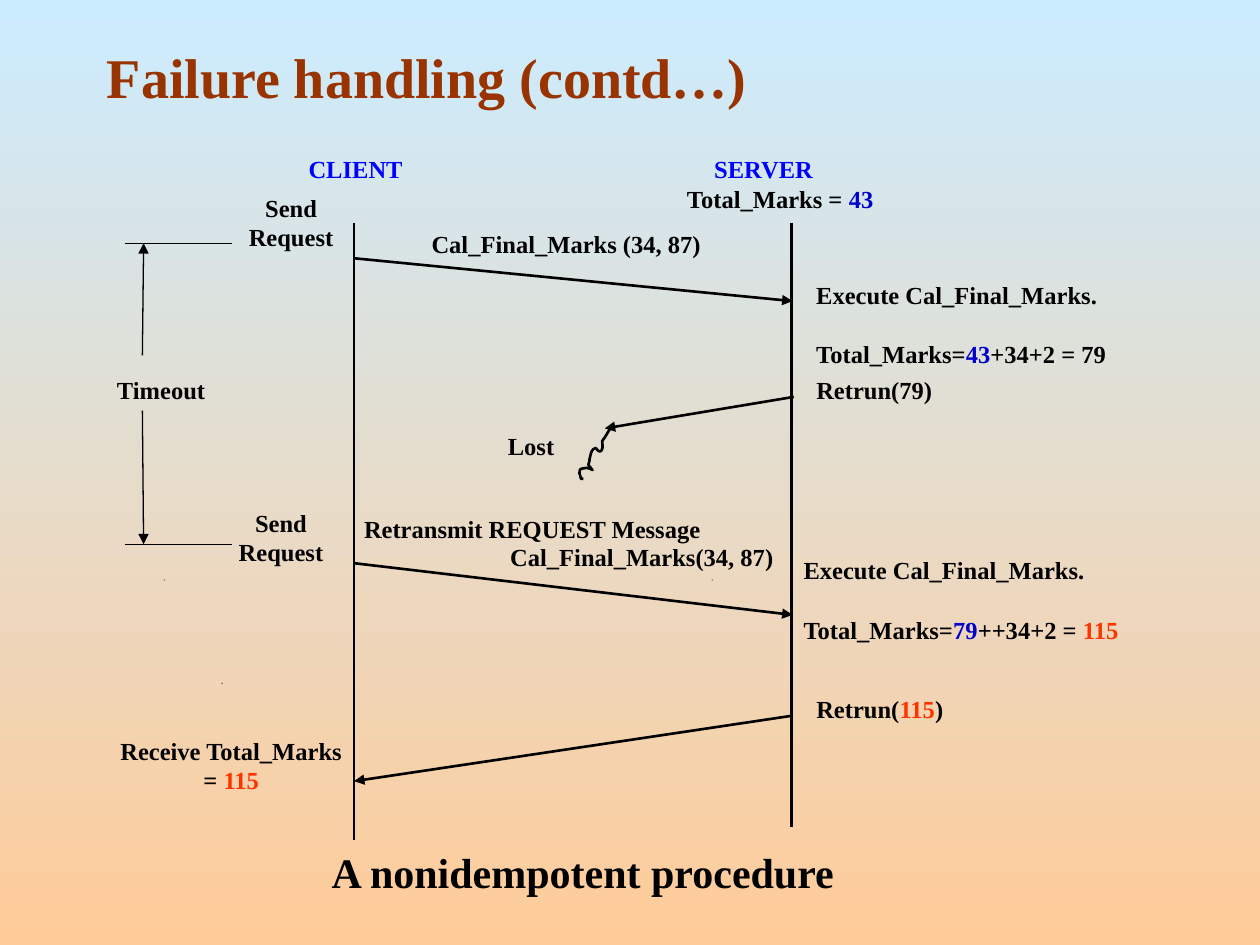
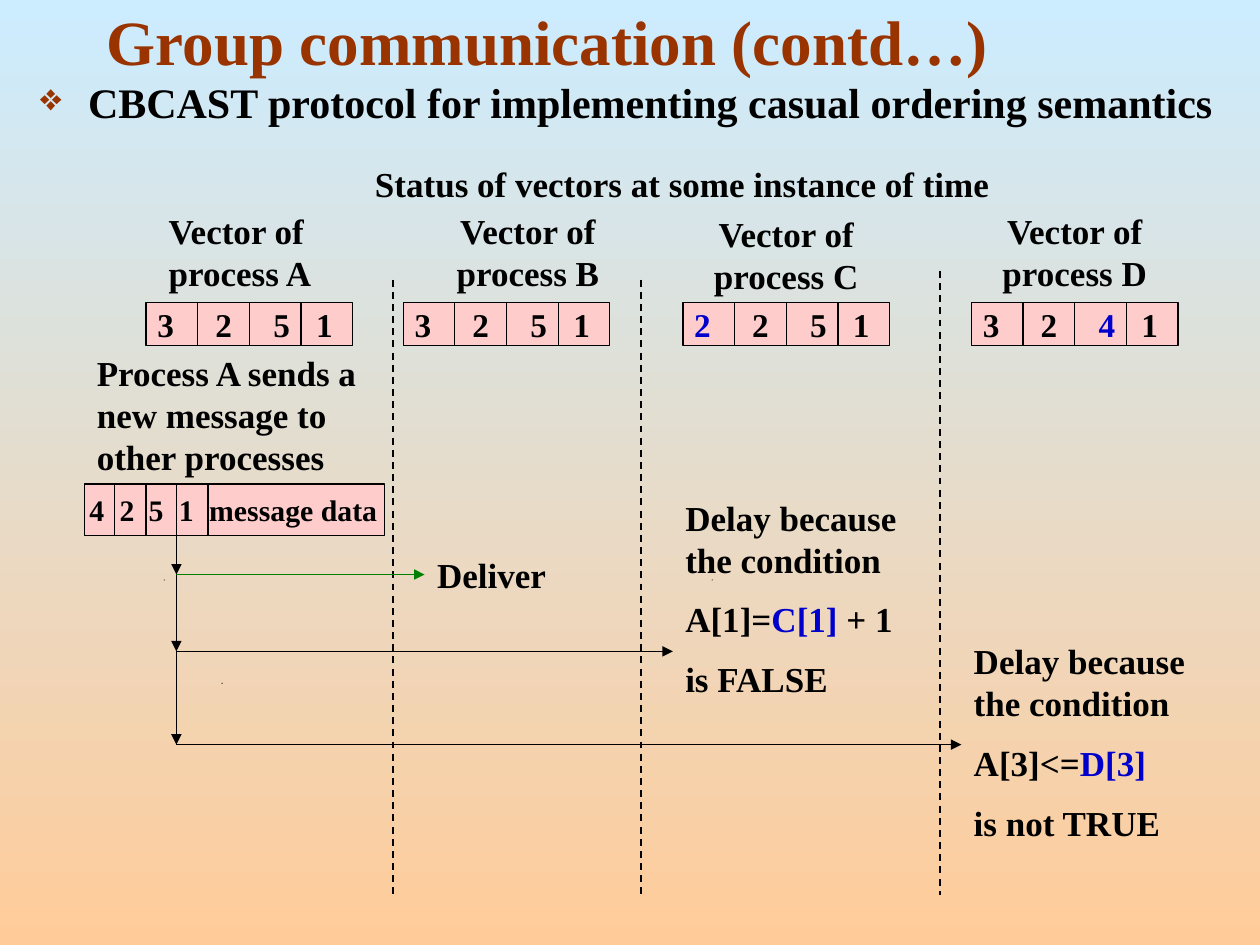
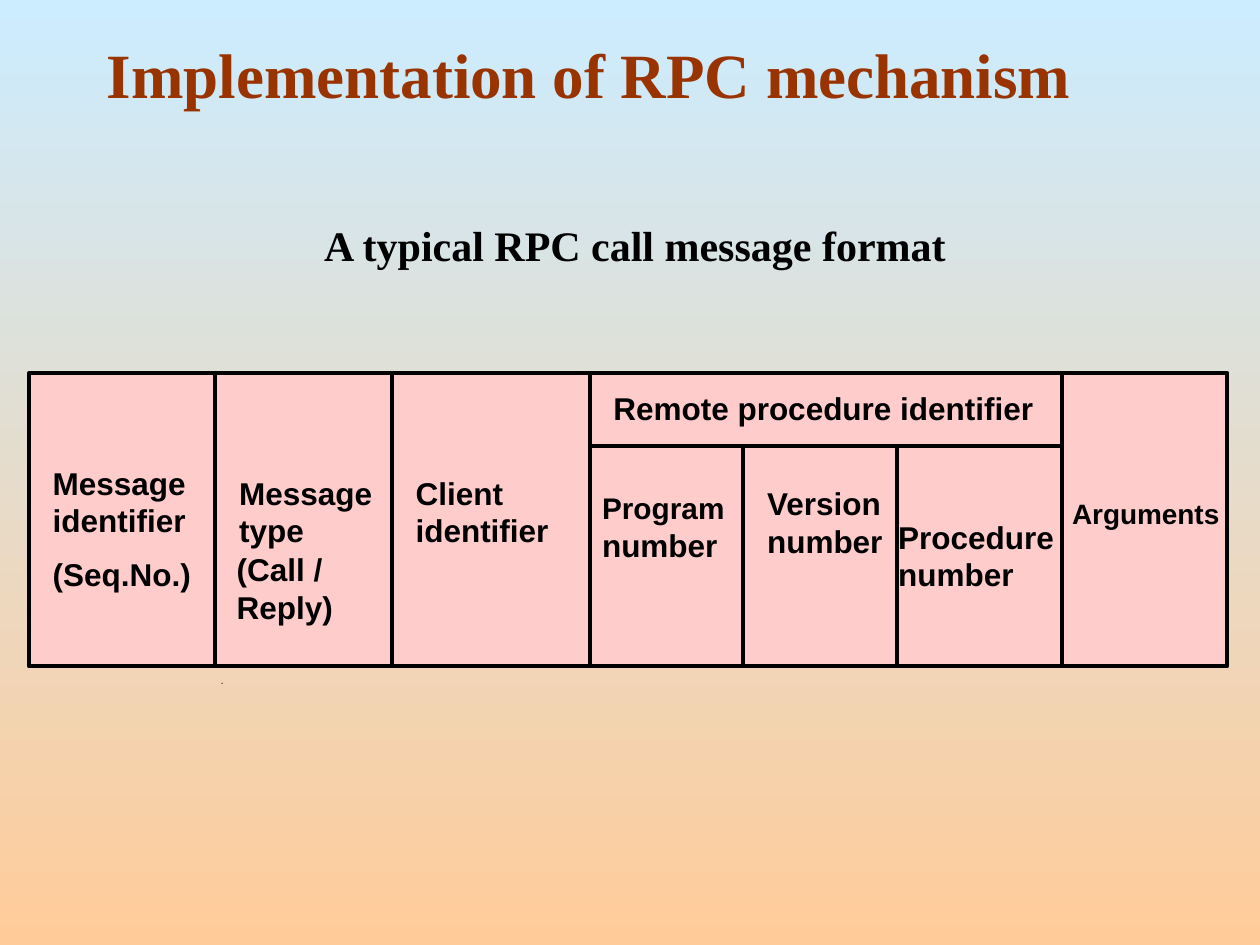
from lxml.etree import SubElement
from pptx import Presentation
from pptx.dml.color import RGBColor
from pptx.enum.dml import MSO_LINE
from pptx.enum.shapes import MSO_CONNECTOR, MSO_SHAPE
from pptx.enum.text import MSO_ANCHOR, PP_ALIGN
from pptx.oxml.ns import qn
from pptx.util import Inches, Pt

rgb = RGBColor.from_string
BLACK, BLUE, RED, BROWN, PINK = "000000", "0000CC", "FF3300", "993300", "FFCCCC"
SERIF, SANS = "Times New Roman", "Arial"
LEFT, CENTER, RIGHT, JUSTIFY = PP_ALIGN.LEFT, PP_ALIGN.CENTER, PP_ALIGN.RIGHT, PP_ALIGN.JUSTIFY
TOP, MIDDLE, BOTTOM = MSO_ANCHOR.TOP, MSO_ANCHOR.MIDDLE, MSO_ANCHOR.BOTTOM


def text(s, at, *paras, size=14, color=BLACK, font=SERIF, align=LEFT, anchor=TOP, gap=0,
         spacing=None, fill=None, inset=0.1, tabs=(), hang=0, bullet=None):
    """Each paragraph is a string or a list of strings and (text, colour, size) runs."""
    at = [Inches(v) for v in at]
    if fill:
        sp = s.shapes.add_shape(MSO_SHAPE.RECTANGLE, *at)
        sp.shadow.inherit = False
        sp.fill.solid()
        sp.fill.fore_color.rgb = rgb(fill)
        sp.line.color.rgb = rgb(BLACK)
        sp.line.width = Pt(0.75)
    else:
        sp = s.shapes.add_textbox(*at)
    tf = sp.text_frame
    tf.word_wrap = True
    tf.vertical_anchor = anchor
    tf.margin_left = Inches(inset)
    tf.margin_right = Inches(min(inset, 0.1) if not tabs else 0)
    for i, para in enumerate(paras):
        p = tf.add_paragraph() if i else tf.paragraphs[0]
        p.alignment = align
        pPr = p._p.get_or_add_pPr()
        if hang:
            pPr.set("marL", str(Inches(hang)))
            pPr.set("indent", str(-Inches(hang)))
        if bullet:
            clr = SubElement(pPr, qn("a:buClr"))
            SubElement(clr, qn("a:srgbClr"), val=BROWN)
            SubElement(pPr, qn("a:buSzPct"), val="90000")
            SubElement(pPr, qn("a:buChar"), char=bullet)
        if tabs:
            tab_list = SubElement(pPr, qn("a:tabLst"))
            for pos in tabs:
                SubElement(tab_list, qn("a:tab"), pos=str(Inches(pos)), algn="l")
        if spacing:
            p.line_spacing = spacing
        if i and gap:
            p.space_before = Pt(gap)
        for run in [para] if isinstance(para, str) else para:
            words, run_color, run_size = ((run,) if isinstance(run, str) else run) + (color, size) \
                if isinstance(run, str) else (run + (size,))[:3]
            r = p.add_run()
            r.text = words
            r.font.name, r.font.size, r.font.bold = font, Pt(run_size), True
            r.font.color.rgb = rgb(run_color)
    return sp


def line(s, x1, y1, x2, y2, width=0.75, color=BLACK, arrow=False, dash=False):
    sp = s.shapes.add_connector(MSO_CONNECTOR.STRAIGHT, *[Inches(v) for v in (x1, y1, x2, y2)])
    sp.line.color.rgb = rgb(color)
    sp.line.width = Pt(width)
    if dash:
        sp.line.dash_style = MSO_LINE.DASH
    spPr = sp._element.spPr
    if arrow:
        SubElement(spPr.find(qn("a:ln")), qn("a:tailEnd"), type="triangle")
    SubElement(spPr, qn("a:effectLst"))


prs = Presentation()
prs.slide_width, prs.slide_height = Inches(10), Inches(7.5)

# Shared background, specks and titles
slides = []
specks = [(1.76, 5.42), (1.3, 4.6), (5.65, 4.6)]
for title, top, size, anchor, speck_count in [
    ("Failure handling (contd…)", 0.25, 32, BOTTOM, 3),
    ("Group communication (contd…)", 0, 36, BOTTOM, 3),
    ("Implementation of RPC mechanism", 0.25, 36, MIDDLE, 1),
]:
    s = prs.slides.add_slide(prs.slide_layouts[6])
    fill = s.background.fill
    fill.gradient()
    fill.gradient_angle = 270
    for stop, position, color in zip(fill.gradient_stops, (0, 1), ("CCECFF", "FFCC99")):
        stop.position = position
        stop.color.rgb = rgb(color)
    for x, y in specks[:speck_count]:
        fb = s.shapes.build_freeform(Inches(x), Inches(y))
        fb.add_line_segments([(Inches(x + 0.01), Inches(y)), (Inches(x), Inches(y + 0.01))])
        sp = fb.convert_to_shape()
        sp.shadow.inherit = False
        sp.fill.solid()
        sp.fill.fore_color.rgb = rgb(BLACK)
        sp.line.fill.background()
    text(s, (0.75, top, 8.83, 0.67), title, size=size, color=BROWN, anchor=anchor)
    slides.append(s)

# Slide 1: message sequence
s = slides[0]
text(s, (2.35, 1.17, 4.68, 0.33), "CLIENT\tSERVER", color="0000FF", tabs=[3.22])
text(s, (2.35, 1.41, 4.68, 0.33), ["Total_Marks = ", ("43", BLUE)], align=RIGHT)
text(s, (6.38, 2.17, 2.87, 0.8), "Execute Cal_Final_Marks.",
     ["Total_Marks=", ("43", BLUE), "+34+2 = 79"], align=JUSTIFY, gap=17)
text(s, (6.28, 4.36, 2.87, 0.8), "Execute Cal_Final_Marks.",
     ["Total_Marks=", ("79", BLUE), "++34+2 = ", ("115", RED)], align=JUSTIFY, gap=17)
text(s, (6.38, 2.93, 1.88, 0.33), "Retrun(79)")
text(s, (6.38, 5.46, 1.88, 0.33), ["Retrun(", ("115", RED), ")"])
text(s, (0.83, 2.93, 0.99, 0.33), "Timeout")
for at, label in [
    ((3.61, 3.37, 1.21, 0.44), "Lost"),
    ((2.91, 1.77, 3.17, 0.45), "Cal_Final_Marks (34, 87)"),
    ((2.72, 4.03, 3.01, 0.38), "Retransmit REQUEST Message"),
    ((3.61, 4.25, 2.97, 0.45), "Cal_Final_Marks(34, 87)"),
    ((1.82, 1.48, 0.98, 0.65), "Send Request"),
    ((1.72, 3.98, 1.02, 0.65), "Send Request"),
    ((0.83, 5.79, 2.01, 0.66), ["Receive Total_Marks = ", ("115", RED)]),
]:
    text(s, at, label, align=CENTER)
text(s, (2.25, 6.67, 4.75, 0.5), "A nonidempotent procedure", size=24, align=CENTER)

# Timeout bracket
for y in (1.93, 4.32):
    line(s, 0.99, y, 1.84, y)
line(s, 1.13, 2.82, 1.14, 1.93, arrow=True)
line(s, 1.13, 3.26, 1.14, 4.32, arrow=True)

# Lifelines and messages
line(s, 2.81, 1.77, 2.81, 6.67, width=1.5)
line(s, 6.28, 1.77, 6.28, 6.56, width=1.5)
for ends in [(2.81, 2.05, 6.29, 2.39), (2.81, 4.47, 6.29, 4.88),
             (6.3, 3.15, 4.8, 3.4), (6.29, 5.68, 2.81, 6.2)]:
    line(s, *ends, width=1.5, arrow=True)

# Squiggle of the lost reply, sampled from cubic curves
start = (4.87, 3.37)
curves = [
    ((4.83, 3.41), (4.82, 3.45), (4.78, 3.5)), ((4.78, 3.53), (4.79, 3.56), (4.77, 3.58)),
    ((4.75, 3.6), (4.73, 3.54), (4.72, 3.56)), ((4.69, 3.57), (4.69, 3.61), (4.68, 3.64)),
    ((4.68, 3.66), (4.67, 3.69), (4.67, 3.69)), ((4.74, 3.78), (4.69, 3.69), (4.62, 3.72)),
    ((4.6, 3.72), (4.6, 3.74), (4.6, 3.76)), ((4.62, 3.81), (4.6, 3.8), (4.63, 3.8)),
]
fb = s.shapes.build_freeform(*[Inches(v) for v in start])
for curve in curves:
    points = []
    for t in [n / 6 for n in range(1, 7)]:
        weights = ((1 - t) ** 3, 3 * t * (1 - t) ** 2, 3 * t * t * (1 - t), t ** 3)
        points.append([Inches(sum(w * c for w, c in zip(weights, axis)))
                       for axis in zip(start, *curve)])
    fb.add_line_segments(points, close=False)
    start = curve[-1]
sp = fb.convert_to_shape()
sp.shadow.inherit = False
sp.fill.background()
sp.line.color.rgb = rgb(BLACK)
sp.line.width = Pt(1.5)

# Slide 2: heading
s = slides[1]
text(s, (0.22, 0.5, 9.58, 0.5), "CBCAST protocol for implementing casual ordering semantics",
     size=24, align=JUSTIFY, spacing=1.15, hang=0.38, bullet="❖")
text(s, (2.26, 1.24, 6.31, 0.43), "Status of vectors at some instance of time",
     size=20, align=CENTER)
for x, top in [(3.12, 2.22), (5.09, 2.22), (7.46, 2.15)]:
    line(s, x, top, x, 7.1, width=1, dash=True)

# Process vectors
for name, x, label_x, label_y, align, vector in [
    ("A", 1.16, 1.24, 1.61, LEFT, "3\t2\t5\t1"),
    ("B", 3.2, 3.37, 1.61, CENTER, "3\t2\t5\t1"),
    ("C", 5.42, 5.42, 1.64, CENTER, [("2", BLUE), "\t2\t5\t1"]),
    ("D", 7.71, 7.71, 1.61, CENTER, ["3\t2\t", ("4", BLUE), "\t1"]),
]:
    text(s, (label_x, label_y, 1.64, 0.77), "Vector of process " + name, size=20, align=align)
    text(s, (x, 2.4, 1.64, 0.34), vector, size=19, anchor=MIDDLE, fill=PINK,
         inset=0.09, tabs=[0.46, 0.92, 1.26])
    for n in (1, 2, 3):
        line(s, x + 0.41 * n, 2.4, x + 0.41 * n, 2.74)

# Message sent by A
text(s, (0.67, 2.74, 2.54, 1.1), "Process A sends a new message to other processes", size=20)
text(s, (0.67, 3.84, 2.38, 0.41), "4\t2\t5\t1\tmessage data", size=17, anchor=MIDDLE,
     fill=PINK, inset=0.04, tabs=[0.24, 0.47, 0.71, 0.95])
for x in (0.91, 1.16, 1.4, 1.65):
    line(s, x, 3.84, x, 4.25)

# Deliveries to B, C and D
top = 3.84
for y, end, color in [(4.56, 3.37, "008000"), (5.17, 5.34, BLACK), (5.91, 7.63, BLACK)]:
    line(s, 1.4, y, end, y, color=color, arrow=True)
    line(s, 1.4, top, 1.4, y, arrow=True)
    top = y
text(s, (3.37, 4.34, 1.31, 0.43), "Deliver", size=20)
text(s, (5.34, 3.89, 2.29, 1.77), "Delay because the condition",
     ["A[1]=", ("C[1]", BLUE), " + 1"], "is FALSE", size=20, gap=10)
text(s, (7.63, 5.03, 2.3, 1.77), "Delay because the condition",
     ["A[3]<=", ("D[3]", BLUE)], "is not TRUE", size=20, gap=10)

# Slide 3: call message format
s = slides[2]
text(s, (0.54, 1.61, 9, 0.62), "A typical RPC call message format",
     size=24, align=CENTER, spacing=1.2, hang=0.38)
frame = s.shapes.add_shape(MSO_SHAPE.RECTANGLE, Inches(0.23), Inches(2.96), Inches(9.51), Inches(2.33))
frame.shadow.inherit = False
frame.fill.solid()
frame.fill.fore_color.rgb = rgb(PINK)
frame.line.color.rgb = rgb(BLACK)
frame.line.width = Pt(2.25)
line(s, 4.68, 3.54, 8.43, 3.54, width=2.25)
for x, top in [(1.71, 2.96), (3.11, 2.96), (4.68, 2.96), (8.43, 2.96), (5.9, 3.54), (7.12, 3.54)]:
    line(s, x, top, x, 5.29, width=2.25)

# Field names
for at, paras in [
    ((4.77, 3.04, 4.1, 0.4), ["Remote procedure identifier"]),
    ((0.32, 3.63, 1.31, 1.15), ["Message identifier", "(Seq.No.)"]),
    ((1.8, 3.71, 1.31, 0.7), ["Message type"]),
    ((1.78, 4.32, 1.45, 0.7), ["(Call / Reply)"]),
    ((3.2, 3.71, 1.48, 0.7), ["Client identifier"]),
    ((4.68, 3.84, 1.22, 0.7), [[("Program ", BLACK, 17), "number"]]),
    ((5.99, 3.79, 1.13, 0.7), ["Version number"]),
]:
    text(s, at, *paras, size=18, font=SANS, gap=9)
text(s, (7.03, 4.06, 1.48, 0.7), "Procedure number", size=18, font=SANS, hang=-0.07)
text(s, (8.41, 3.89, 1.59, 0.37), "Arguments", size=16, font=SANS)

prs.save("out.pptx")
